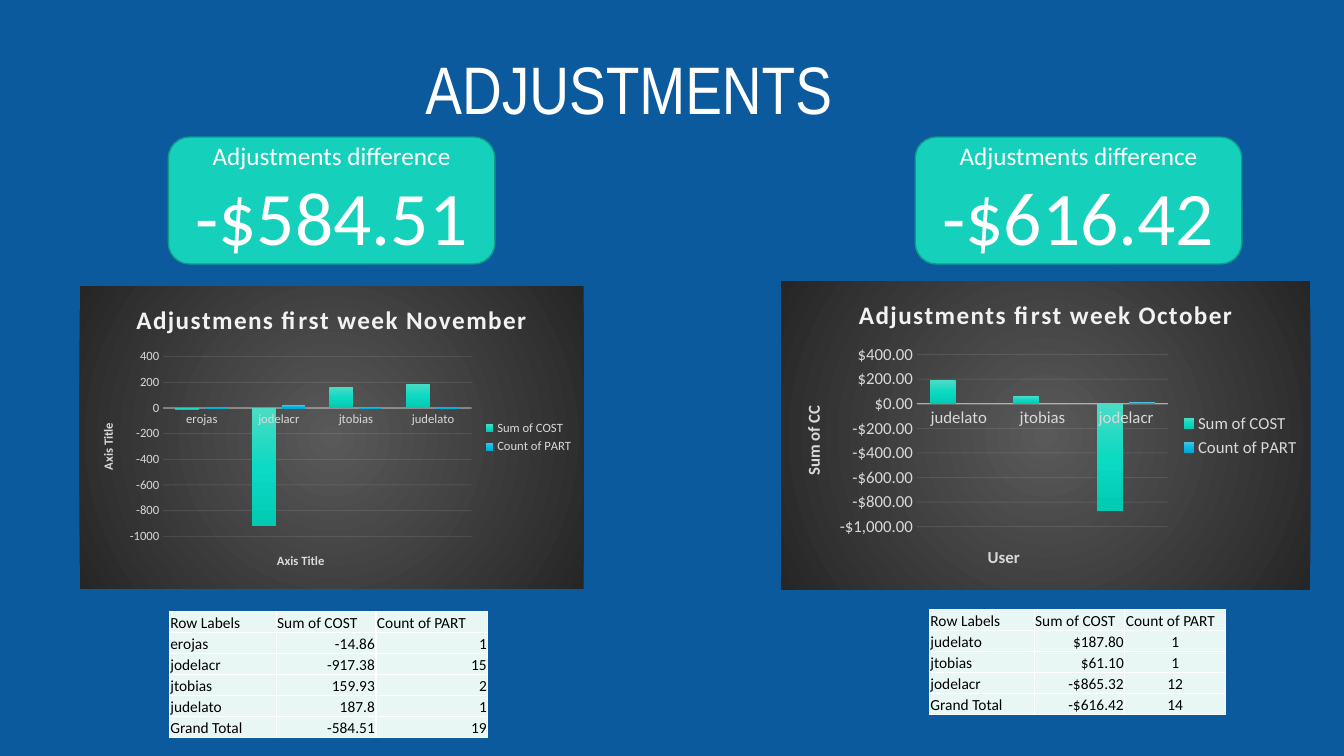
from pptx import Presentation
from pptx.chart.data import CategoryChartData
from pptx.dml.color import RGBColor
from pptx.enum.chart import XL_CHART_TYPE, XL_LEGEND_POSITION, XL_TICK_MARK
from pptx.enum.shapes import MSO_SHAPE
from pptx.enum.text import MSO_ANCHOR, PP_ALIGN
from pptx.oxml import parse_xml
from pptx.oxml.ns import nsdecls, qn
from pptx.util import Inches, Pt

WIDTH, HEIGHT = Inches(13.33), Inches(7.5)
COLS, ROWS = 160, 90
LEFT, CENTER, RIGHT = PP_ALIGN.LEFT, PP_ALIGN.CENTER, PP_ALIGN.RIGHT
TEAL = ("4CDBC5", "0CDAC2", "02CAB3")
BLUE = ("4CBFE4", "05BAE5", "00A8D0")
PALE = "D9D9D9"
LINEAR = '<a:lin ang="5400000" scaled="0"/>'
RADIAL = ('<a:path path="circle"><a:fillToRect l="50000" t="50000" '
          'r="50000" b="50000"/></a:path>')


def across(cols):
    return round(WIDTH * cols / COLS)


def down(rows):
    return round(HEIGHT * rows / ROWS)


def area(left, top, width, height):
    return across(left), down(top), across(width), down(height)


def color(value):
    return RGBColor.from_string(value)


def style(font, size, tint, face="Calibri", bold=False):
    font.size, font.name, font.bold = Pt(size), face, bold
    font.color.rgb = color(tint)


def write(par, text, size=11, tint="000000", align=LEFT, **look):
    """Add text to a paragraph and return its run."""
    par.alignment = align
    run = par.add_run()
    run.text = text
    style(run.font, size, tint, **look)
    return run


def blend(tints, shade):
    """Gradient fill with evenly spaced stops."""
    step = 100000 // (len(tints) - 1)
    stops = "".join(f'<a:gs pos="{i * step}"><a:srgbClr val="{tint}"/></a:gs>'
                    for i, tint in enumerate(tints))
    return parse_xml(f'<a:gradFill {nsdecls("a")} rotWithShape="1">'
                     f'<a:gsLst>{stops}</a:gsLst>{shade}</a:gradFill>')


def rule(line, width):
    line.width = Pt(width)
    line.color.rgb = color("F2F2F2")


def fade(root, query, share):
    for tint in root.xpath(query):
        tint.append(parse_xml(
            f'<a:alpha {nsdecls("a")} val="{share * 1000}"/>'))


def add_title(slide, text):
    title = slide.shapes.title
    title.left, title.top, title.width, title.height = area(
        27.84, 4.32, 94.08, 11.64)
    frame = title.text_frame
    frame.vertical_anchor = MSO_ANCHOR.BOTTOM
    frame.margin_left = frame.margin_right = 0
    par = frame.paragraphs[0]
    par.line_spacing = 0.9
    write(par, text, 48, "FFFFFF", CENTER, face="Arial Narrow")


def add_card(slide, left, amount):
    card = slide.shapes.add_shape(
        MSO_SHAPE.ROUNDED_RECTANGLE, *area(left, 16.32, 38.88, 15.12))
    card.shadow.inherit = False
    card.fill.solid()
    card.fill.fore_color.rgb = color("15D1BB")
    card.line.color.rgb = color("109B8A")
    card.line.width = Pt(1)
    frame = card.text_frame
    frame.word_wrap = True
    frame.vertical_anchor = MSO_ANCHOR.MIDDLE
    write(frame.paragraphs[0], "Adjustments difference", 18, "FFFFFF", CENTER)
    write(frame.add_paragraph(), amount, 54, "FFFFFF", CENTER)


def add_bars(slide, spot, title, users, costs, counts, names, size,
             layout="General"):
    data = CategoryChartData(number_format=layout)
    data.categories = users
    data.add_series("Sum of COST", costs)
    data.add_series("Count of PART", counts)
    chart = slide.shapes.add_chart(
        XL_CHART_TYPE.COLUMN_CLUSTERED, *area(*spot), data).chart
    style(chart.font, 10, "000000")
    head = write(chart.chart_title.text_frame.paragraphs[0], title, 18,
                 "F2F2F2", CENTER, bold=True)
    head.font.element.set("spc", "100") if hasattr(
        head.font, "element") else head._r.get_or_add_rPr().set("spc", "100")
    chart.has_legend = True
    chart.legend.position = XL_LEGEND_POSITION.RIGHT
    chart.legend.include_in_layout = False
    style(chart.legend.font, size, PALE)

    user, cost = chart.category_axis, chart.value_axis
    for axis, name in zip((user, cost), names):
        write(axis.axis_title.text_frame.paragraphs[0], name, size, PALE,
              CENTER, bold=True)
        axis.major_tick_mark = axis.minor_tick_mark = XL_TICK_MARK.NONE
        style(axis.tick_labels.font, size, PALE)
    rule(user.format.line, 1)
    cost.format.line.fill.background()
    rule(cost.major_gridlines.format.line, 0.75)
    cost.tick_labels.number_format = layout
    cost.tick_labels.number_format_is_linked = False

    plot = chart.plots[0]
    plot.gap_width, plot.overlap = 100, -24
    plot.vary_by_categories = False
    for series in plot.series:
        series.invert_if_negative = False
        series.format.fill.solid()
    root = chart.element
    for fill, tints in zip(root.xpath(".//c:ser/c:spPr/a:solidFill"),
                           (TEAL, BLUE)):
        fill.getparent().replace(fill, blend(tints, LINEAR))
    fade(root, ".//c:catAx/c:spPr//a:srgbClr", 54)
    fade(root, ".//c:majorGridlines//a:srgbClr", 10)
    back = parse_xml(f'<c:spPr {nsdecls("c", "a")}>'
                     '<a:ln><a:noFill/></a:ln></c:spPr>')
    back.insert(0, blend(("595959", "262626"), RADIAL))
    root.find(qn("c:chart")).addnext(back)


def add_grid(slide, left, top, widths, rows, last):
    """Table whose last column is aligned as given below its heading."""
    rows = [("Row Labels", "Sum of COST", "Count of PART"), *rows]
    frame = slide.shapes.add_table(
        len(rows), len(widths),
        *area(left, top, sum(widths), 2.5 * len(rows)))
    table = frame.table
    for col, width in zip(table.columns, widths):
        col.width = across(width)
    for r, row in enumerate(rows):
        table.rows[r].height = down(2.5)
        for c, text in enumerate(row):
            cell = table.cell(r, c)
            cell.fill.solid()
            cell.fill.fore_color.rgb = color("E8F7F3")
            cell.vertical_anchor = MSO_ANCHOR.BOTTOM
            cell.margin_left = cell.margin_right = Inches(0.01)
            cell.margin_top, cell.margin_bottom = Inches(0.01), 0
            align = (LEFT, RIGHT, last)[c] if r else LEFT
            write(cell.text_frame.paragraphs[0], text, align=align)
    for props in frame._element.xpath(".//a:tcPr"):
        for i, side in enumerate("LRTB"):
            props.insert(i, parse_xml(
                f'<a:ln{side} {nsdecls("a")} w="12700"><a:solidFill>'
                f'<a:srgbClr val="FFFFFF"/></a:solidFill></a:ln{side}>'))


def main():
    deck = Presentation()
    deck.slide_width, deck.slide_height = WIDTH, HEIGHT
    slide = deck.slides.add_slide(deck.slide_layouts[5])
    slide.background.fill.solid()
    slide.background.fill.fore_color.rgb = color("0C5A9E")
    add_title(slide, "ADJUSTMENTS")

    add_card(slide, 20.04, "-$584.51")
    add_bars(slide, (9.48, 34.08, 60, 36), "Adjustmens first week November",
             ("erojas", "jodelacr", "jtobias", "judelato"),
             (-10, -920, 160, 190), (0, 20, 0, 0),
             ("Axis Title", "Axis Title"), 9)
    add_grid(slide, 20.16, 72.84, (12.72, 11.88, 13.32), [
        ("erojas", "-14.86", "1"),
        ("jodelacr", "-917.38", "15"),
        ("jtobias", "159.93", "2"),
        ("judelato", "187.8", "1"),
        ("Grand Total", "-584.51", "19")], RIGHT)

    add_card(slide, 108.96, "-$616.42")
    add_bars(slide, (93, 33.48, 63, 36.72), "Adjustments first week October",
             ("judelato", "jtobias", "jodelacr"),
             (190, 60, -870), (0, 0, 10),
             ("User", "Sum of CC"), 12, '"$"#,##0.00')
    add_grid(slide, 110.64, 72.6, (12.48, 10.8, 12), [
        ("judelato", "$187.80", "1"),
        ("jtobias", "$61.10", "1"),
        ("jodelacr", "-$865.32", "12"),
        ("Grand Total", "-$616.42", "14")], CENTER)
    deck.save("out.pptx")


if __name__ == "__main__":
    main()
